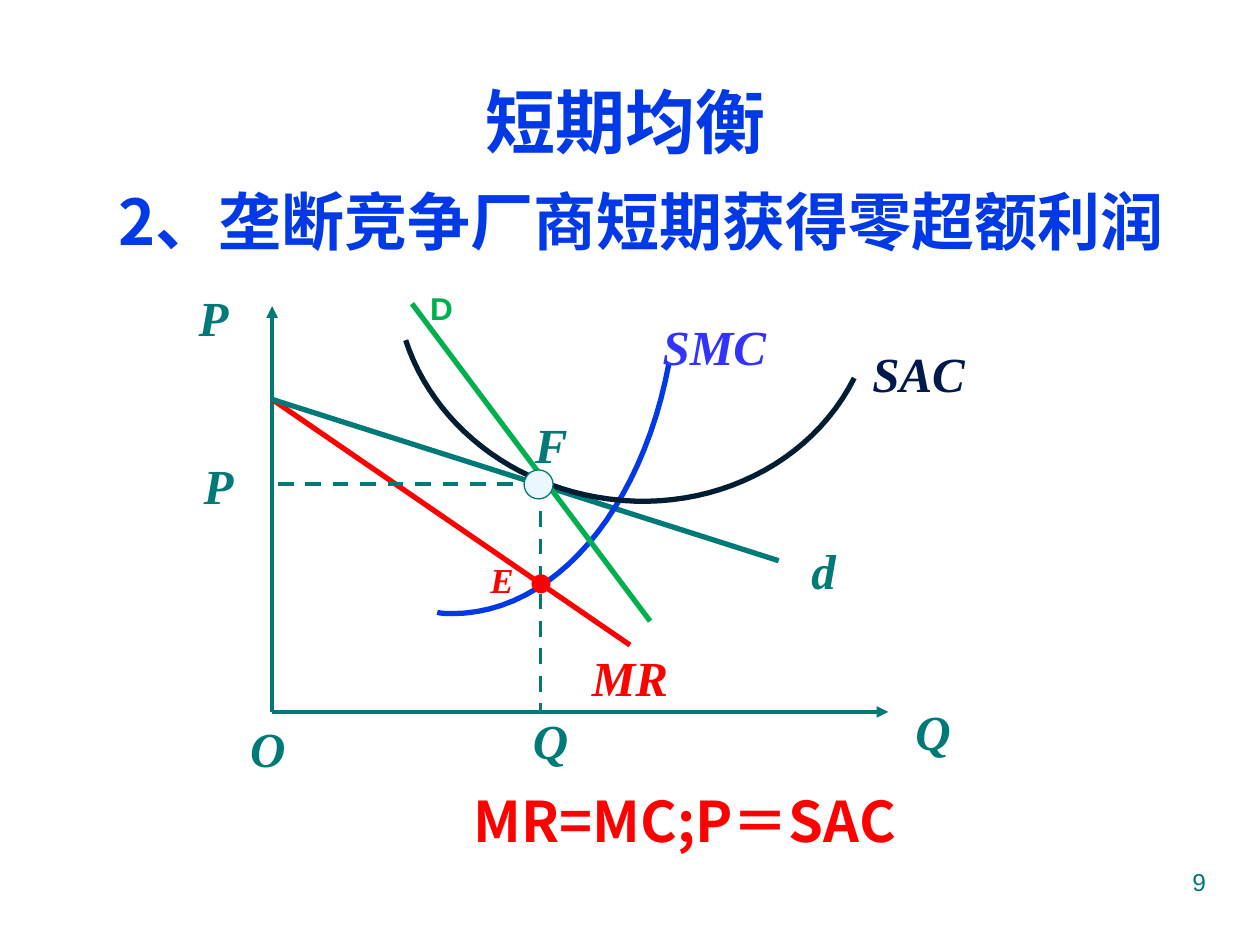
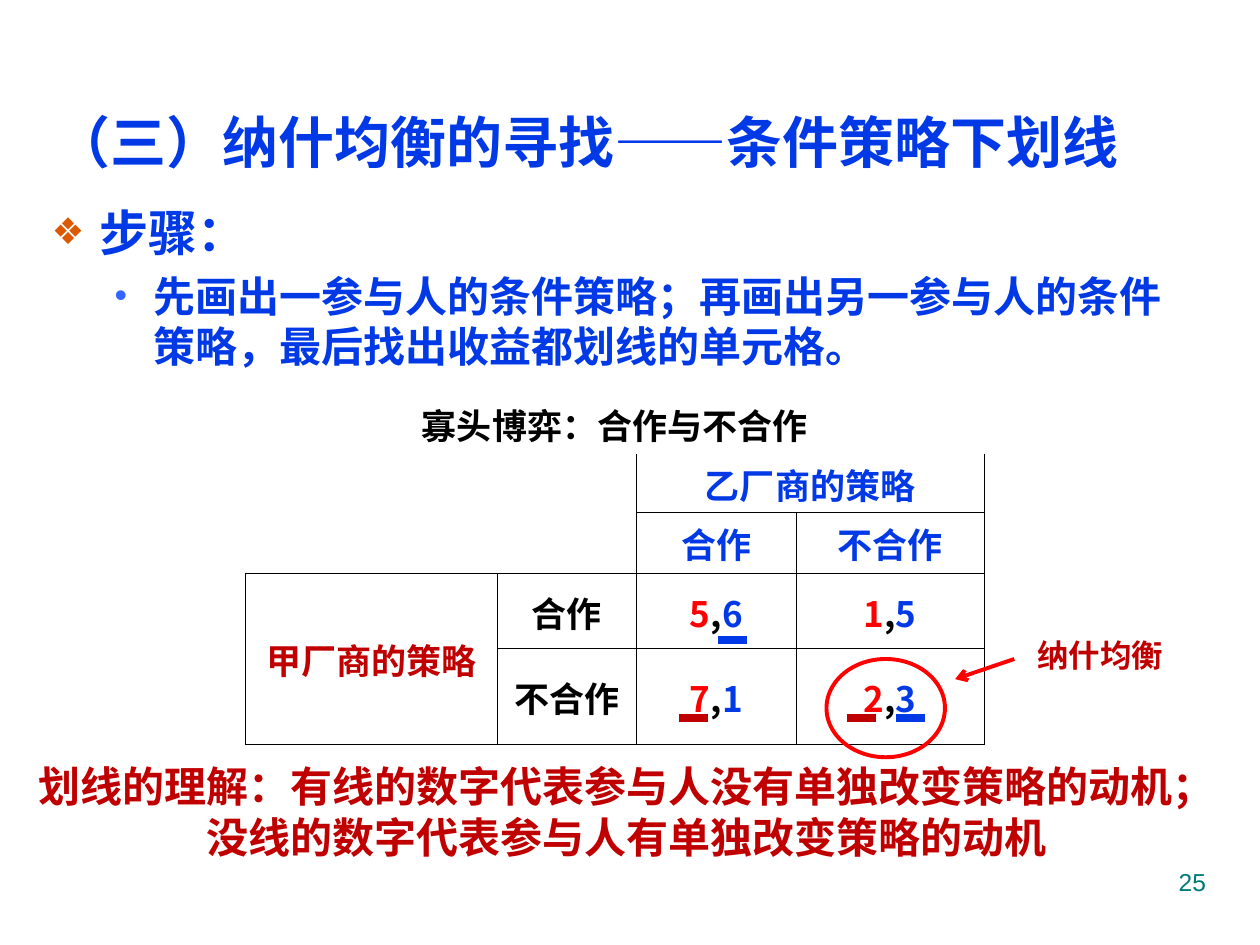
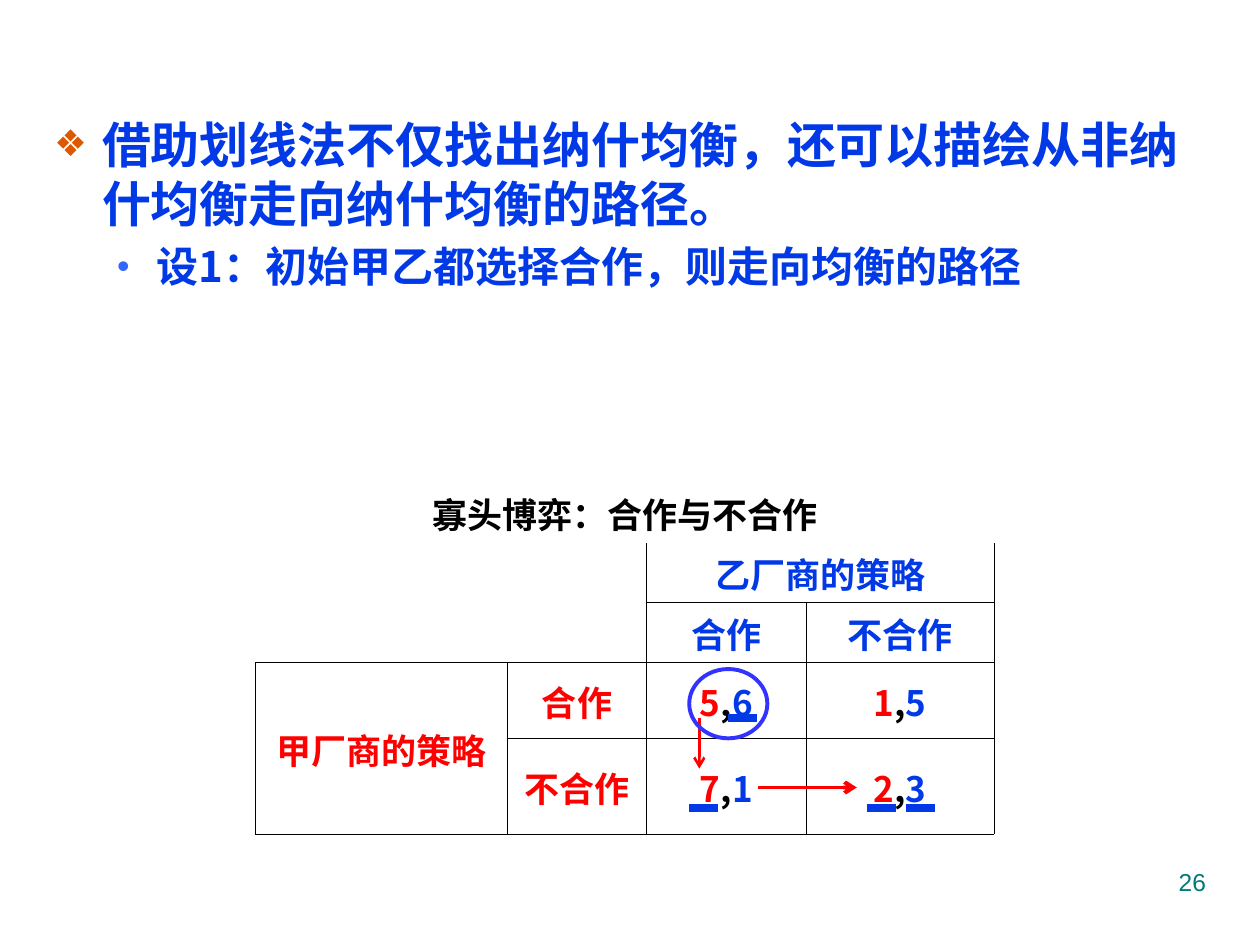
"""Build three slides on short-run equilibrium and finding Nash equilibria."""
import lxml.etree
import pptx
import pptx.dml.color
import pptx.enum.dml
import pptx.enum.shapes
import pptx.enum.text
import pptx.oxml.ns
import pptx.util

Inches = pptx.util.Inches
Pt = pptx.util.Pt
RGBColor = pptx.dml.color.RGBColor
ALIGN = pptx.enum.text.PP_ALIGN
MIDDLE = pptx.enum.text.MSO_ANCHOR.MIDDLE
NO_FIT = pptx.enum.text.MSO_AUTO_SIZE.NONE
DASH = pptx.enum.dml.MSO_LINE.DASH

BLUE = RGBColor(0x00, 0x39, 0xE5)
VIOLET = RGBColor(0x33, 0x33, 0xFF)
SKY = RGBColor(0x33, 0x66, 0xFF)
PALE = RGBColor(0xEB, 0xF7, 0xFF)
TEAL = RGBColor(0x00, 0x7A, 0x77)
NAVY = RGBColor(0x00, 0x19, 0x4C)
INK = RGBColor(0x00, 0x1D, 0x31)
RED = RGBColor(0xFF, 0x00, 0x00)
CRIMSON = RGBColor(0xC0, 0x00, 0x00)
GREEN = RGBColor(0x00, 0xB0, 0x50)
ORANGE = RGBColor(0xDC, 0x59, 0x00)
BLACK = RGBColor(0x00, 0x00, 0x00)

HAN = "Noto Sans CJK SC"
SYMBOL = {"name": "Times New Roman", "size": Pt(28), "bold": True, "italic": True}
POINT_E = {**SYMBOL, "size": Pt(20)}
DOT = {**SYMBOL, "size": Pt(40), "italic": False}
CURVE_D = {"name": "Arial", "size": Pt(18), "bold": True}
PAGE_NUMBER = {"name": "Arial", "size": Pt(14)}
BULLETS = [("❖", ORANGE, 75, 0.38, 0.38, 28), ("•", SKY, 85, 0.81, 0.31, 24)]

COLUMNS = [2, 1.1, 1.27, 1.49]
ROWS = [0.48, 0.47, 0.48, 0.6, 0.76]
BORDERS = [
    ["", "", "", ""],
    ["", "R", "LRB", "LRB"],
    ["B", "RB", "LRTB", "LRTB"],
    ["LRTB"] * 4,
    ["LRTB"] * 4,
]
UNDERLINE = 0.23


def han(size):
    """Return the bold Chinese font format at a size in points."""
    return {"name": HAN, "size": Pt(size), "bold": True}


def set_values(target, values):
    """Set every attribute named in a format dict."""
    for name, value in values.items():
        setattr(target, name, value)


def child(parent, tag, **attributes):
    """Append a drawing element to its parent."""
    return lxml.etree.SubElement(parent, pptx.oxml.ns.qn(tag), attributes)


def write(paragraph, text, style, color, align=ALIGN.CENTER):
    """Add one formatted run to a paragraph."""
    paragraph.alignment = align
    run = paragraph.add_run()
    run.text = text
    set_values(run.font, style)
    run.font.color.rgb = color
    child(run.font._element, "a:ea", typeface=style["name"])


def place(shape, box):
    """Move and size a shape from a box in inches."""
    set_values(shape, dict(zip(("left", "top", "width", "height"), map(Inches, box))))


def fill_title(slide, box, text, size, align):
    """Fill the title placeholder."""
    title = slide.shapes.title
    place(title, box)
    set_values(title.text_frame, {"auto_size": NO_FIT, "vertical_anchor": MIDDLE})
    write(title.text_frame.paragraphs[0], text, han(size), BLUE, align)


def body_frame(slide, box):
    """Place the body placeholder and return its text frame."""
    body = slide.placeholders[1]
    place(body, box)
    body.text_frame.auto_size = NO_FIT
    return body.text_frame


def set_indent(paragraph, margin, hanging):
    """Give a paragraph a left margin and a hanging first line."""
    properties = paragraph._p.get_or_add_pPr()
    properties.set("marL", str(Inches(margin)))
    properties.set("indent", str(-Inches(hanging)))
    return properties


def fill_list(slide, box, texts):
    """Fill the body with one bulleted item for each level."""
    frame = body_frame(slide, box)
    for level, (text, bullet) in enumerate(zip(texts, BULLETS)):
        mark, mark_color, percent, margin, hanging, size = bullet
        item = frame.paragraphs[0] if level == 0 else frame.add_paragraph()
        item.level = level
        write(item, text, han(size), BLUE, ALIGN.LEFT)
        properties = set_indent(item, margin, hanging)
        child(child(properties, "a:buClr"), "a:srgbClr", val=str(mark_color))
        child(properties, "a:buSzPct", val=str(percent * 1000))
        child(properties, "a:buFont", typeface="Arial")
        child(properties, "a:buChar", char=mark)


def fill_formula(slide, box, text):
    """Fill the body with a centred line that has no bullet."""
    line = body_frame(slide, box).paragraphs[0]
    line.space_before = Pt(0)
    write(line, text, han(32), RED)
    child(set_indent(line, 0.38, 0.38), "a:buNone")


def add_text(slide, box, lines, style, color, align=ALIGN.CENTER, wrap=True):
    """Add a text box with one paragraph per line."""
    frame = slide.shapes.add_textbox(*map(Inches, box)).text_frame
    frame.word_wrap = wrap
    for number, line in enumerate(lines):
        paragraph = frame.add_paragraph() if number else frame.paragraphs[0]
        write(paragraph, line, style, color, align)
    return frame


def add_label(slide, box, text, color=TEAL, style=SYMBOL):
    """Add a diagram label spaced by half a line."""
    frame = add_text(slide, box, [text], style, color)
    properties = frame.paragraphs[0]._p.get_or_add_pPr()
    child(child(properties, "a:spcBef"), "a:spcPct", val="50000")


def add_page_number(slide, number):
    """Add the page number at the lower right."""
    add_text(slide, (7.17, 6.83, 2.5, 0.52), [number], PAGE_NUMBER, TEAL, ALIGN.RIGHT)


def add_line(slide, start, end, color, width, dash=None, arrow=None):
    """Add a straight line, dashed or with an arrowhead if asked."""
    line = slide.shapes.add_connector(
        pptx.enum.shapes.MSO_CONNECTOR.STRAIGHT, *map(Inches, start + end))
    line.line.color.rgb = color
    set_values(line.line, {"width": Pt(width), "dash_style": dash})
    if arrow:
        child(line.line._get_or_add_ln(), "a:tailEnd", type=arrow)
    child(line._element.spPr, "a:effectLst")


def bezier(start, pull, push, end, steps=24):
    """Return the points of a cubic curve after its start."""
    points = []
    for step in range(1, steps + 1):
        t = step / steps
        weights = ((1 - t) ** 3, 3 * t * (1 - t) ** 2, 3 * t * t * (1 - t), t ** 3)
        points.append(tuple(
            sum(w * v for w, v in zip(weights, axis))
            for axis in zip(start, pull, push, end)))
    return points


def add_curve(slide, start, segments, color):
    """Add an open cost curve made of cubic segments."""
    points = [start]
    for segment in segments:
        points += bezier(points[-1], *segment)
    points = [(Inches(x), Inches(y)) for x, y in points]
    builder = slide.shapes.build_freeform(*points[0])
    builder.add_line_segments(points[1:], close=False)
    curve = builder.convert_to_shape()
    curve.shadow.inherit = False
    curve.fill.background()
    curve.line.color.rgb = color
    curve.line.width = Pt(3)


def add_ellipse(slide, box, color=None, width=2.25, fill=None):
    """Add an ellipse, by default without fill and outline."""
    ellipse = slide.shapes.add_shape(
        pptx.enum.shapes.MSO_SHAPE.OVAL, *map(Inches, box))
    ellipse.shadow.inherit = False
    if fill is None:
        ellipse.fill.background()
    else:
        ellipse.fill.solid()
        ellipse.fill.fore_color.rgb = fill
    if color is None:
        ellipse.line.fill.background()
    else:
        ellipse.line.color.rgb = color
        ellipse.line.width = Pt(width)
    return ellipse


def draw_borders(cell, sides):
    """Draw thin black borders on the given sides only."""
    properties = cell._tc.get_or_add_tcPr()
    for side in "LRTB":
        edge = child(properties, f"a:ln{side}", w=str(Pt(0.5)))
        if side in sides:
            child(child(edge, "a:solidFill"), "a:srgbClr", val=str(BLACK))
        else:
            child(edge, "a:noFill")


def payoff(first, second):
    """Return the coloured runs of a payoff pair."""
    return [(first, RED), (",", BLACK), (second, BLUE)]


def add_payoff_table(slide, left, top, player_color, choice_color, underlines):
    """Add the payoff matrix and its underlines, set from its corner."""
    table = slide.shapes.add_table(
        len(ROWS), len(COLUMNS), *map(Inches, (left, top, sum(COLUMNS), sum(ROWS)))).table
    set_values(table, {"first_row": False, "horz_banding": False})
    for column, width in zip(table.columns, COLUMNS):
        column.width = Inches(width)
    for row, height in zip(table.rows, ROWS):
        row.height = Inches(height)
    for first, last in [((0, 0), (0, 3)), ((1, 2), (1, 3)), ((3, 0), (4, 0))]:
        table.cell(*first).merge(table.cell(*last))
    texts = {
        (0, 0): [("寡头博弈：合作与不合作", BLACK)],
        (1, 2): [("乙厂商的策略", BLUE)],
        (2, 2): [("合作", BLUE)],
        (2, 3): [("不合作", BLUE)],
        (3, 0): [("甲厂商的策略", player_color)],
        (3, 1): [("合作", choice_color)],
        (3, 2): payoff("5", "6"),
        (3, 3): payoff("1", "5"),
        (4, 1): [("不合作", choice_color)],
        (4, 2): payoff("7", "1"),
        (4, 3): payoff("2", "3"),
    }
    margin = Inches(0.01)
    layout = {"margin_left": margin, "margin_right": margin, "margin_top": margin,
              "margin_bottom": 0, "vertical_anchor": MIDDLE}
    for row, row_borders in enumerate(BORDERS):
        for column, sides in enumerate(row_borders):
            cell = table.cell(row, column)
            set_values(cell, layout)
            draw_borders(cell, sides)
            cell.fill.background()
            for text, color in texts.get((row, column), []):
                write(cell.text_frame.paragraphs[0], text, han(20), color)
    for x, y, color in underlines:
        add_line(slide, (left + x, top + y), (left + x + UNDERLINE, top + y), color, 4.5)


def build_equilibrium(slide):
    """Draw the zero-profit short-run equilibrium."""
    fill_title(slide, (3.43, 0.6, 3.07, 0.71), "短期均衡", 40, ALIGN.CENTER)
    origin, intercept, tangency = (2.16, 5.65), (2.16, 3.17), (4.29, 3.84)
    for tip in [(7.05, 5.65), (2.16, 2.43)]:
        add_line(slide, origin, tip, TEAL, 2.25, arrow="triangle")
    add_line(slide, intercept, (5, 5.12), RED, 3)
    add_line(slide, intercept, (6.18, 4.45), TEAL, 3)
    add_curve(slide, (3.47, 4.86), [
        ((3.51, 4.87), (3.55, 4.87), (3.59, 4.87)),
        ((4.39, 4.87), (5.09, 4.06), (5.31, 2.88))], BLUE)
    add_curve(slide, (6.78, 3), [
        ((6.44, 3.68), (5.65, 4.07), (4.83, 3.96)),
        ((4.07, 3.86), (3.44, 3.37), (3.22, 2.7))], INK)
    for foot in [(4.29, 5.65), (2.16, 3.84)]:
        add_line(slide, tangency, foot, TEAL, 2.25, dash=DASH)
    for text, box in [
        ("P", (1.3, 2.23, 0.79, 0.57)),
        ("Q", (6.97, 5.52, 0.87, 0.57)),
        ("O", (1.77, 5.65, 0.71, 0.57)),
        ("F", (4.06, 3.24, 0.63, 0.57)),
        ("P", (1.38, 3.57, 0.71, 0.57)),
        ("Q", (3.74, 5.59, 1.26, 0.57)),
        ("d", (6.34, 4.24, 0.32, 0.57)),
    ]:
        add_label(slide, box, text)
    add_label(slide, (4.53, 5.09, 0.94, 0.57), "MR", RED)
    add_label(slide, (6.58, 2.68, 1.42, 0.57), "SAC", NAVY)
    add_label(slide, (5.16, 2.46, 1.02, 0.57), "SMC", VIOLET)
    add_label(slide, (3.75, 4.38, 0.47, 0.43), "E", RED, POINT_E)
    add_label(slide, (3.98, 4.22, 0.63, 0.77), "•", RED, DOT)
    fill_formula(slide, (3.05, 6.19, 4.77, 0.68), "MR=MC;P＝SAC")
    heading = add_text(slide, (0.51, 1.39, 9.16, 0.71),
                       ["2、垄断竞争厂商短期获得零超额利润"], han(36), BLUE)
    heading.vertical_anchor = MIDDLE
    add_line(slide, (3.27, 2.41), (5.16, 4.93), GREEN, 3)
    demand = add_ellipse(slide, (3.27, 2.25, 0.47, 0.39)).text_frame
    set_values(demand, {"word_wrap": False, "vertical_anchor": MIDDLE})
    write(demand.paragraphs[0], "D", CURVE_D, GREEN)
    add_ellipse(slide, (4.16, 3.73, 0.23, 0.23), TEAL, 0.75, PALE)
    add_page_number(slide, "9")


def build_underlining(slide):
    """Show how underlining finds the Nash equilibrium."""
    fill_title(slide, (0.33, 0.67, 9.34, 0.9),
               "（三）纳什均衡的寻找——条件策略下划线", 32, ALIGN.LEFT)
    fill_list(slide, (0.31, 1.56, 9.34, 1.9), [
        "步骤：",
        "先画出一参与人的条件策略；再画出另一参与人的条件策略，最后找出收益都划线的单元格。"])
    add_payoff_table(slide, 1.95, 3.12, CRIMSON, BLACK, [
        (3.44, 2.58, CRIMSON), (4.77, 2.58, CRIMSON),
        (3.75, 1.96, BLUE), (5.16, 2.58, BLUE)])
    add_ellipse(slide, (6.56, 5.23, 0.94, 0.78), RED)
    add_text(slide, (8.12, 5, 1.22, 0.4), ["纳什均衡"], han(18), CRIMSON, wrap=False)
    add_line(slide, (8.05, 5.23), (7.58, 5.39), RED, 2.25, arrow="arrow")
    add_text(slide, (0.13, 5.99, 9.68, 0.91), [
        "划线的理解：有线的数字代表参与人没有单独改变策略的动机；",
        "没线的数字代表参与人有单独改变策略的动机"], han(24), CRIMSON, wrap=False)
    add_page_number(slide, "25")


def build_route(slide):
    """Trace the route from cooperation to the Nash equilibrium."""
    title = slide.shapes.title._element
    title.getparent().remove(title)
    fill_list(slide, (0.33, 0.86, 9.34, 2.11), [
        "借助划线法不仅找出纳什均衡，还可以描绘从非纳什均衡走向纳什均衡的路径。",
        "设1：初始甲乙都选择合作，则走向均衡的路径"])
    add_payoff_table(slide, 2.03, 3.83, RED, RED, [
        (3.44, 2.58, BLUE), (4.85, 2.58, BLUE),
        (3.75, 1.87, BLUE), (5.16, 2.58, BLUE)])
    add_line(slide, (5.55, 5.7), (5.55, 6.1), RED, 1.5, arrow="arrow")
    add_line(slide, (6.02, 6.25), (6.8, 6.25), RED, 2.25, arrow="arrow")
    add_ellipse(slide, (5.47, 5.31, 0.62, 0.55), VIOLET)
    add_page_number(slide, "26")


def main():
    """Build and save the presentation."""
    deck = pptx.Presentation()
    set_values(deck, {"slide_width": Inches(10), "slide_height": Inches(7.5)})
    for build in (build_equilibrium, build_underlining, build_route):
        build(deck.slides.add_slide(deck.slide_layouts[1]))
    deck.save("out.pptx")


if __name__ == "__main__":
    main()
